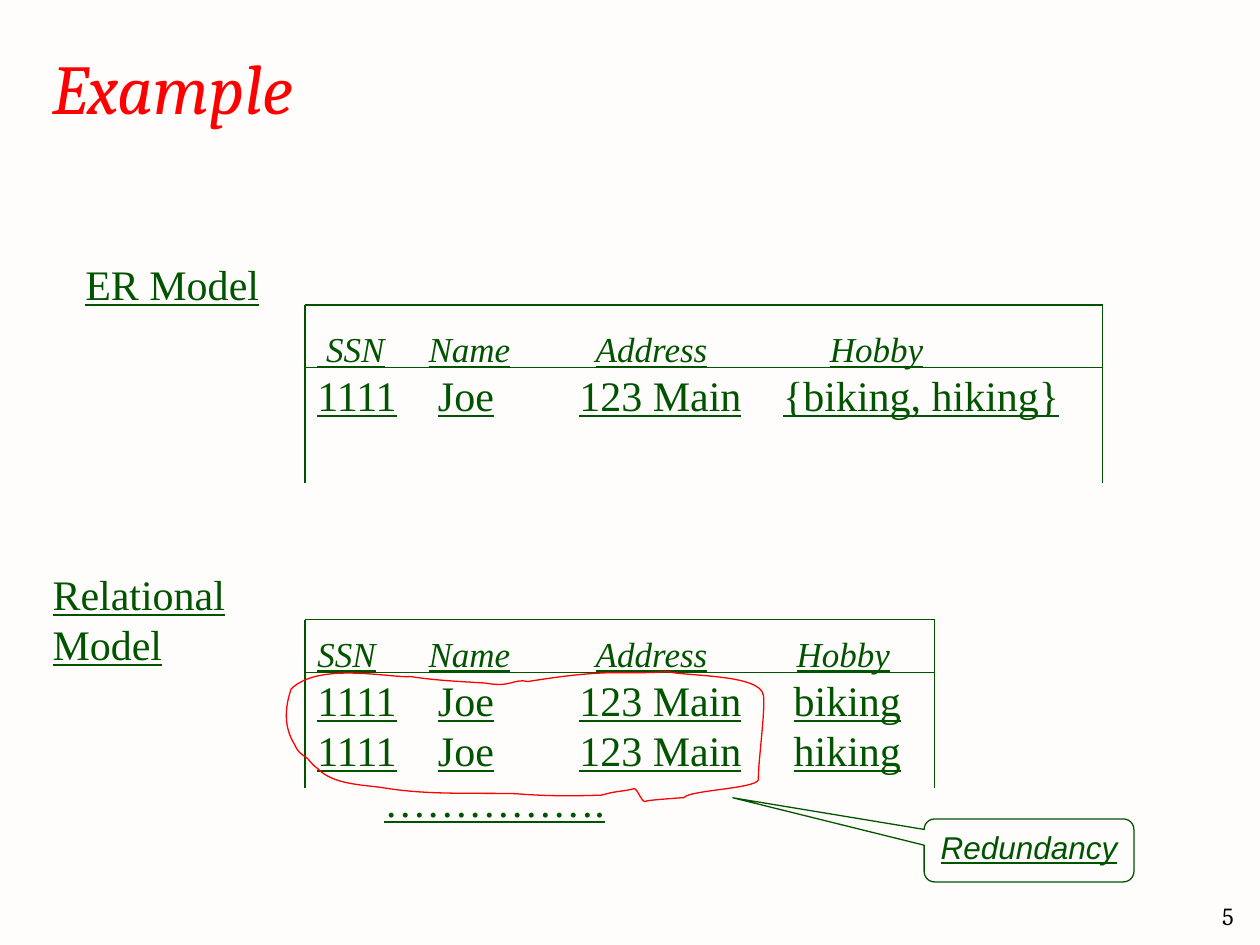
from lxml import etree
from pptx import Presentation
from pptx.dml.color import RGBColor
from pptx.enum.shapes import MSO_CONNECTOR, MSO_SHAPE
from pptx.enum.text import MSO_ANCHOR, PP_ALIGN
from pptx.oxml.ns import qn
from pptx.util import Cm, Pt

STRAIGHT = MSO_CONNECTOR.STRAIGHT
CALLOUT = MSO_SHAPE.ROUNDED_RECTANGULAR_CALLOUT
TOP, MIDDLE = MSO_ANCHOR.TOP, MSO_ANCHOR.MIDDLE
LEFT, CENTER, RIGHT = PP_ALIGN.LEFT, PP_ALIGN.CENTER, PP_ALIGN.RIGHT
COLORS = {"paper": "FFFDFB", "ink": "005400", "accent": "FF0000", "number": "000000"}
SERIF, TITLE_FONT, SANS = "Times New Roman", "Cambria", "Arial"

LOOP_START = (9.78, 13.77)
LOOP_CURVES = [
    [(9.3, 13.74), (8.79, 13.72), (8.28, 13.64)],
    [(7.85, 13.67), (6.43, 13.34), (5.87, 13.89)],
    [(5.74, 14.27), (5.72, 14.66), (5.94, 15.01)],
    [(6.02, 15.19), (6.07, 15.19), (6.2, 15.29)],
    [(6.27, 15.37), (6.32, 15.44), (6.4, 15.49)],
    [(6.71, 15.82), (7.32, 15.82), (7.72, 15.88)],
    [(8.61, 16.03), (9.5, 15.98), (10.39, 16)],
    [(10.97, 16.05), (11.53, 16.05), (12.12, 16.03)],
    [(12.17, 16.03), (12.19, 16), (12.24, 16)],
    [(12.42, 15.95), (12.6, 15.95), (12.78, 15.9)],
    [(12.85, 15.88), (12.95, 16.23), (13.03, 16.15)],
    [(13.06, 16.13), (13.79, 16.08), (13.79, 16.08)],
    [(13.89, 15.93), (15.24, 15.9), (15.29, 15.72)],
    [(15.27, 15.49), (15.44, 14.25), (15.39, 14.02)],
    [(15.34, 13.59), (13.87, 13.64), (13.46, 13.54)],
    [(12.52, 13.61), (12.37, 13.46), (10.64, 13.74)],
    [(10.36, 13.67), (10.31, 13.87), (9.78, 13.77)],
]


class SlideBuilder:
    """Draws styled text, rules and outlines on one slide."""

    def __init__(self, slide):
        self.slide = slide
        self.shapes = slide.shapes
        slide.background.fill.solid()
        slide.background.fill.fore_color.rgb = self.color("paper")

    def color(self, name):
        return RGBColor.from_string(COLORS[name])

    def outline(self, shape, color):
        shape.line.color.rgb = self.color(color)
        shape.line.width = Pt(0.75)

    def add_words(self, paragraph, words, size, font=SERIF, color="ink",
                  italic=False, underline=True, align=LEFT):
        paragraph.alignment = align
        run = paragraph.add_run()
        run.text = words
        run.font.name, run.font.size = font, Pt(size)
        run.font.italic, run.font.underline = italic, underline
        run.font.color.rgb = self.color(color)

    def frame(self, left, top, width, height, anchor=TOP):
        box = self.shapes.add_textbox(Cm(left), Cm(top), Cm(width), Cm(height))
        box.text_frame.word_wrap = True
        box.text_frame.vertical_anchor = anchor
        return box.text_frame

    def label(self, area, words, size, anchor=TOP, **style):
        self.add_words(self.frame(*area, anchor).paragraphs[0], words, size, **style)

    def records(self, area, rows):
        frame = self.frame(*area)
        for index, (cells, stops) in enumerate(rows):
            paragraph = frame.add_paragraph() if index else frame.paragraphs[0]
            heading = index == 0
            self.add_words(paragraph, "\t".join(cells), 20 if heading else 24, italic=heading)
            tabs = etree.SubElement(paragraph._p.get_or_add_pPr(), qn("a:tabLst"))
            for stop in stops:
                etree.SubElement(tabs, qn("a:tab"), pos=str(Cm(stop)), algn="l")

    def rule(self, x1, y1, x2, y2):
        line = self.shapes.add_connector(STRAIGHT, Cm(x1), Cm(y1), Cm(x2), Cm(y2))
        self.outline(line, "ink")
        etree.SubElement(line._element.spPr, qn("a:effectLst"))

    def open_grid(self, left, right, top, header, bottom):
        for y in (top, header):
            self.rule(left, y, right, y)
        for x in (left, right):
            self.rule(x, top, x, bottom)

    def loop(self, start, curves):
        points = [(Cm(x), Cm(y)) for curve in curves for x, y in curve]
        builder = self.shapes.build_freeform(Cm(start[0]), Cm(start[1]))
        shape = builder.add_line_segments(points, close=True).convert_to_shape()
        segments = list(shape._element.iter(qn("a:lnTo")))
        for first in range(0, len(segments), 3):
            bezier = etree.Element(qn("a:cubicBezTo"))
            segments[first].addprevious(bezier)
            for segment in segments[first:first + 3]:
                bezier.append(segment[0])
                segment.getparent().remove(segment)
        shape.fill.background()
        shape.shadow.inherit = False
        self.outline(shape, "accent")

    def callout(self, area, pointer, words):
        shape = self.shapes.add_shape(CALLOUT, *(Cm(length) for length in area))
        for index, value in enumerate(pointer):
            shape.adjustments[index] = value
        shape.fill.background()
        shape.shadow.inherit = False
        self.outline(shape, "ink")
        shape.text_frame.vertical_anchor = TOP
        self.add_words(shape.text_frame.paragraphs[0], words, 18, font=SANS,
                       italic=True, align=CENTER)


def main():
    deck = Presentation()
    deck.slide_width, deck.slide_height = Cm(25.4), Cm(19.05)
    page = SlideBuilder(deck.slides.add_slide(deck.slide_layouts[6]))

    page.label((24, 18.03, 1.12, 0.84), "5", 14, MIDDLE, font=TITLE_FONT,
               color="number", underline=False, align=RIGHT)
    page.label((0.81, 0.2, 21.59, 3.07), "Example", 40, MIDDLE, font=TITLE_FONT,
               color="accent", italic=True, underline=False)

    person = ["1111", "Joe", "123 Main"]
    fields = ["Name", "Address", "Hobby"]
    er_rows = [
        ([" SSN"] + fields, (2.24, 5.61, 10.33)),
        (person + ["{biking, hiking}"], (2.43, 5.28, 9.39)),
    ]
    relational_rows = [(["SSN"] + fields, (2.24, 5.61, 9.66))]
    relational_rows += [(person + [hobby], (2.43, 5.28, 9.6)) for hobby in ("biking", "hiking")]
    relational_rows.append((["", "…………….",], (1.35,)))
    page.records((6.15, 12.62, 12.4, 4.19), relational_rows)
    page.records((6.15, 6.48, 15.6, 2.13), er_rows)

    page.label((1.47, 5.08, 4.01, 1.27), "ER Model", 24)
    page.label((0.81, 11.33, 6.4, 1.27), "Relational Model", 24)
    page.open_grid(6.15, 22.23, 6.15, 7.41, 9.74)
    page.open_grid(6.15, 18.84, 12.49, 13.55, 15.88)
    page.loop(LOOP_START, LOOP_CURVES)
    page.callout((18.63, 16.51, 4.23, 1.27), (-1.412, -0.837, 0.167), "Redundancy")
    deck.save("out.pptx")


if __name__ == "__main__":
    main()
